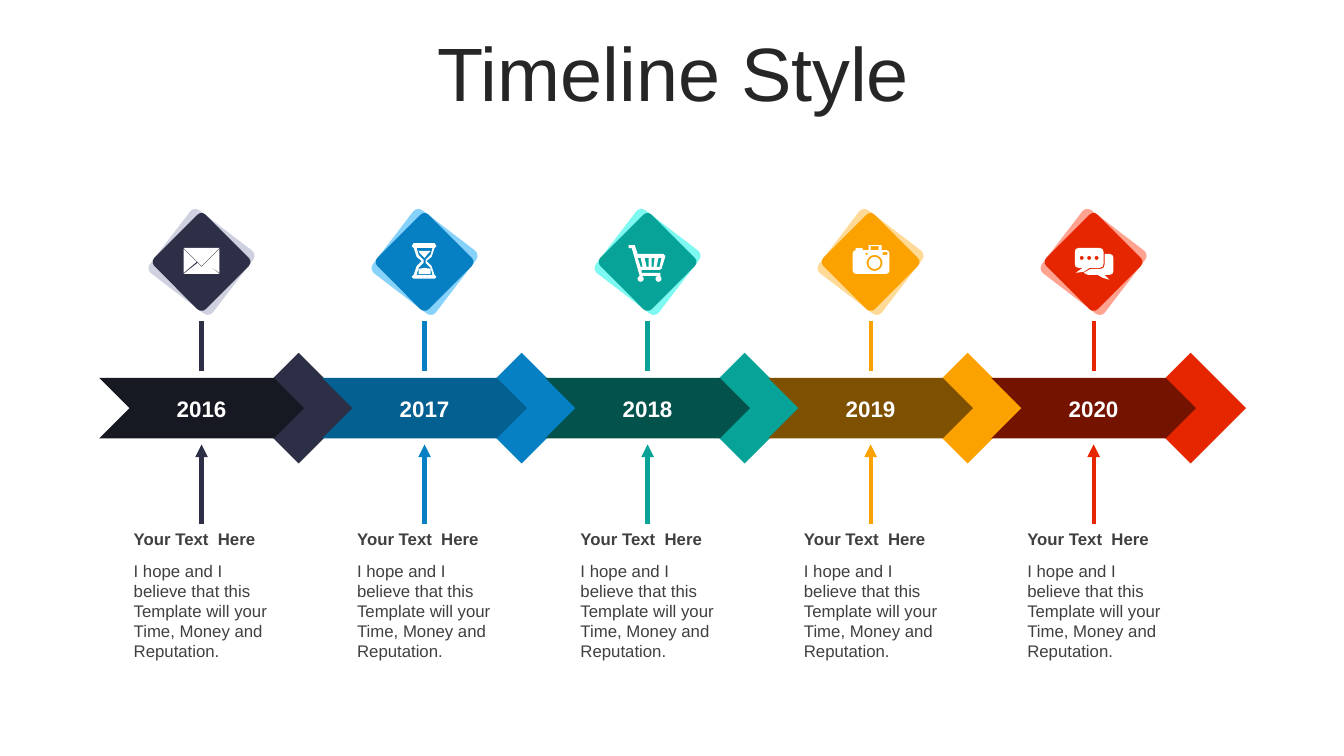
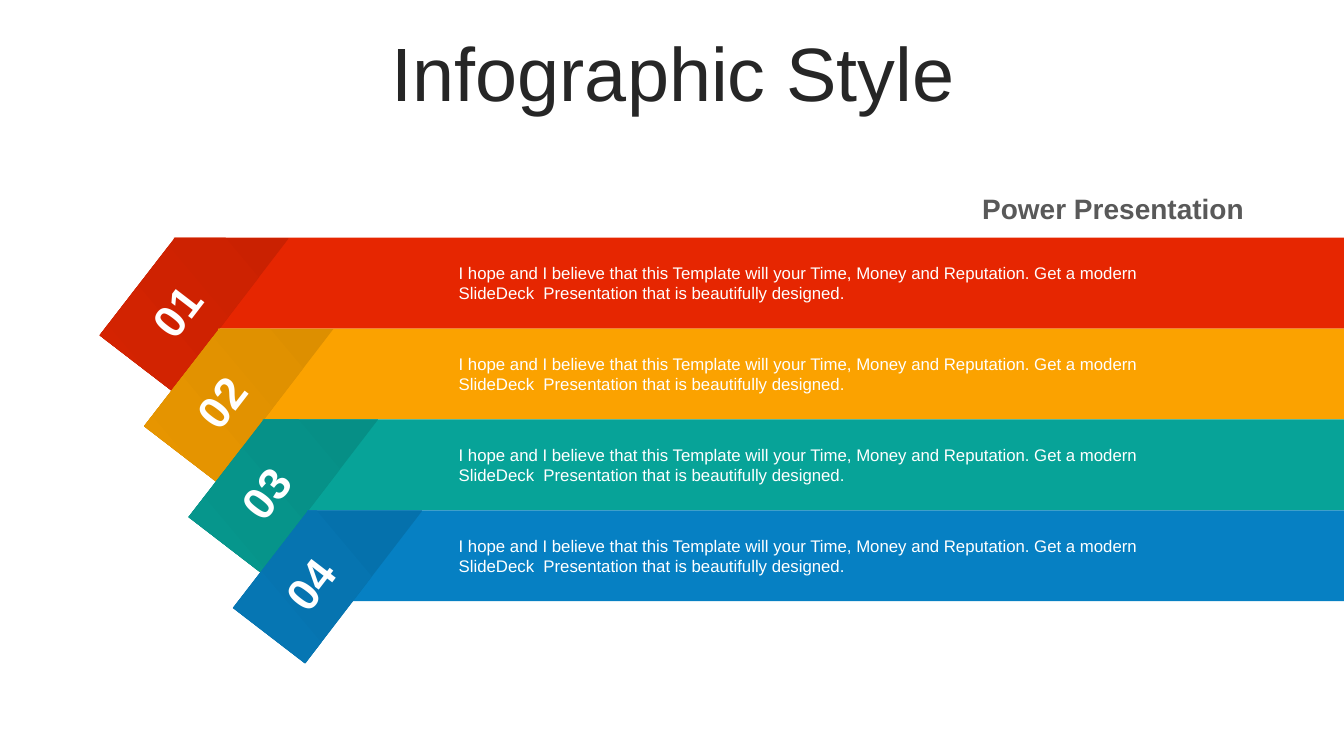
from dataclasses import dataclass
from math import cos, pi, sin

from lxml import etree
from pptx import Presentation
from pptx.dml.color import RGBColor
from pptx.enum.shapes import MSO_CONNECTOR, MSO_SHAPE
from pptx.enum.text import MSO_ANCHOR, PP_ALIGN
from pptx.oxml.ns import qn
from pptx.util import Cm, Pt

CHEVRON, DIAMOND = MSO_SHAPE.CHEVRON, MSO_SHAPE.DIAMOND
RECTANGLE, ROUNDED = MSO_SHAPE.RECTANGLE, MSO_SHAPE.ROUNDED_RECTANGLE
STRAIGHT = MSO_CONNECTOR.STRAIGHT
LEFT, CENTER, RIGHT = PP_ALIGN.LEFT, PP_ALIGN.CENTER, PP_ALIGN.RIGHT
TOP, MIDDLE = MSO_ANCHOR.TOP, MSO_ANCHOR.MIDDLE


@dataclass(frozen=True)
class Theme:
    font: str = "Arial"
    title: str = "262626"
    subtitle: str = "595959"
    text: str = "404040"
    white: str = "FFFFFF"
    navy: str = "2C2F45"
    blue: str = "0680C3"
    teal: str = "07A398"
    amber: str = "FBA200"
    red: str = "E62601"
    title_size: int = 54
    number_size: int = 32
    subtitle_size: int = 20
    year_size: int = 16
    body_size: int = 12


THEME = Theme()
SLIDE_W, SLIDE_H = Cm(33.87), Cm(19.05)


# Icon outlines, in icon units around the tile centre
def circle(x, y, radius, steps=32):
    angles = [2 * pi * step / steps for step in range(steps)]
    return [(x + radius * cos(a), y + radius * sin(a)) for a in angles]


def box(left, top, right, bottom):
    return [(left, top), (right, top), (right, bottom), (left, bottom)]


ICON_UNIT = Cm(0.025)
ENVELOPE = [
    [(4, 1), (18, 12), (-18, 12), (-4, 1), (0, 5)],
    [(18, -13), (18, 11), (4, 1)],
    [(-18, -13), (-5, 0), (-18, 11)],
    [(-18, -14), (18, -14), (0, 4)],
]
HOURGLASS = [
    [(0, 6), (6, 7), (6, 12), (-6, 12), (-6, 7)],
    [(-6, -11), (6, -11), (4, -9), (0, -4), (-5, -9)],
    [(-8, -14), (-6, -7), (-1, -2), (-1, 1), (-6, 6), (-8, 13),
     (8, 13), (6, 6), (1, 1), (1, -2), (6, -7), (8, -14)],
    [(-11, -19), (10, -19), (12, -16), (10, -14), (7, -5), (2, -1), (7, 4),
     (10, 13), (12, 15), (10, 17), (-11, 17), (-13, 15), (-11, 13), (-8, 4),
     (-3, -1), (-8, -5), (-11, -14), (-13, -16)],
]
CART = [
    [(11, -4), (9, 5), (12, 5), (14, -4)],
    [(4, -4), (4, 5), (6, 5), (7, -4)],
    [(-3, -4), (-1, 5), (1, 5), (1, -4)],
    [(-10, -4), (-7, 5), (-5, 5), (-7, -4)],
    [(-13, -17), (-10, -8), (16, -8), (18, -6), (14, 7), (12, 8), (-6, 8),
     (-6, 11), (13, 11), (13, 14), (-8, 14), (-16, -14), (-19, -14), (-19, -17)],
    circle(-7, 17, 3),
    circle(11, 17, 3),
]
CAMERA = [
    circle(4, 1, 6),
    circle(4, 1, 8),
    box(-5, -9, -3, -7),
    box(12, -10, 17, -7),
    box(0, -16, 8, -12),
    [(-15, -12), (-15, -14), (-8, -14), (-8, -12), (-2, -12), (-2, -17),
     (11, -17), (11, -12), (16, -12), (18, -11), (19, -9), (19, 9), (18, 11),
     (16, 12), (-15, 12), (-17, 11), (-18, 9), (-18, -9), (-17, -11)],
]
CHAT = [
    *[circle(x, -4, 2) for x in (-12, -4.5, 3)],
    [(-15, -14), (6, -14), (9, -13), (10, -10), (10, 2), (9, 5), (6, 6),
     (-4, 6), (-10, 10), (-18, 11), (-11, 6), (-15, 6), (-18, 5), (-19, 2),
     (-19, -10), (-18, -13)],
    [(11, -8), (16, -8), (19, -7), (20, -4), (20, 9), (19, 12), (16, 13),
     (11, 13), (16, 18), (9, 16), (4, 13), (-6, 13), (-10, 11), (-3, 7),
     (7, 7), (10, 6), (11, 3)],
]

# Year, main colour, chevron colour, halo colour, icon
STAGES = [
    ("2016", THEME.navy, "161822", "CFD1E0", ENVELOPE),
    ("2017", THEME.blue, "056092", "87D2FB", HOURGLASS),
    ("2018", THEME.teal, "04524C", "7DF9F1", CART),
    ("2019", THEME.amber, "7E5100", "FFDA97", CAMERA),
    ("2020", THEME.red, "731300", "FFA290", CHAT),
]
CAPTION_HEADING = "Your Text  Here"
CAPTION = "I hope and I believe that this Template will your Time, Money and Reputation."

# Number, band colour, gradient of the folded card
BANDS = [
    ("01", THEME.red, ("CA2101", "D42301")),
    ("02", THEME.amber, ("DD8F00", "E79500")),
    ("03", THEME.teal, ("068F86", "06968C")),
    ("04", THEME.blue, ("0571AC", "0676B3")),
]
BAND_TEXT = CAPTION + " Get a modern SlideDeck  Presentation that is beautifully designed."


# Shared helpers
def rgb(value):
    return RGBColor.from_string(value)


def write(paragraph, text, size, color, bold=False, align=LEFT):
    paragraph.text = text
    paragraph.alignment = align
    font = paragraph.font
    font.name, font.size, font.bold = THEME.font, Pt(size), bold
    font.color.rgb = rgb(color)


def plain(shape, color):
    shape.shadow.inherit = False
    shape.line.fill.background()
    shape.fill.solid()
    shape.fill.fore_color.rgb = rgb(color)
    return shape


def add_block(slide, kind, left, top, width, height, color, rotation=0):
    block = plain(slide.shapes.add_shape(kind, left, top, width, height), color)
    block.rotation = rotation
    return block


def add_text(slide, left, top, width, height, anchor=TOP):
    frame = slide.shapes.add_textbox(left, top, width, height).text_frame
    frame.word_wrap = True
    frame.vertical_anchor = anchor
    return frame


def add_stem(slide, x, top, bottom, color, arrow=False):
    stem = slide.shapes.add_connector(STRAIGHT, x, top, x, bottom)
    stem.line.color.rgb = rgb(color)
    stem.line.width = Pt(3)
    if arrow:
        line = stem.line._get_or_add_ln()
        etree.SubElement(line, qn("a:headEnd"), type="triangle")
    etree.SubElement(stem._element.spPr, qn("a:effectLst"))


def add_outline(slide, contours, left, top, unit, color):
    """Draw closed contours as one shape, with (0, 0) at left, top."""
    fine = 100
    scaled = [[(x * fine, y * fine) for x, y in points] for points in contours]
    builder = slide.shapes.build_freeform(*scaled[0][0], scale=unit / fine)
    for points in scaled:
        builder.move_to(*points[0])
        builder.add_line_segments(points[1:], close=True)
    return plain(builder.convert_to_shape(left, top), color)


def add_titled_slide(prs, text):
    slide = prs.slides.add_slide(prs.slide_layouts[5])
    title = slide.shapes.title
    title.left, title.top, title.width, title.height = Cm(0.89), Cm(0.94), Cm(32.16), Cm(2)
    title.text_frame.vertical_anchor = MIDDLE
    heading = title.text_frame.paragraphs[0]
    write(heading, text, THEME.title_size, THEME.title, align=CENTER)
    heading.line_spacing = 0.9
    return slide


# Timeline slide
def add_tile(slide, x, y, color, halo, icon):
    for side, angle, fill in ((Cm(2), 307.4, halo), (Cm(1.83), 315, color)):
        tile = add_block(slide, ROUNDED, x - side // 2, y - side // 2, side, side, fill, angle)
        tile.adjustments[0] = 0.08
    add_outline(slide, icon, x, y, ICON_UNIT, THEME.white)


def add_stage(slide, left, top, year, color, dark, halo, icon):
    middle = left + Cm(2.58)
    add_tile(slide, middle, top + Cm(1), color, halo, icon)
    add_stem(slide, middle, top + Cm(2.5), top + Cm(3.75), color)
    # Year arrow
    add_block(slide, DIAMOND, left + Cm(3.63), top + Cm(3.29), Cm(2.79), Cm(2.79), color)
    chevron = add_block(slide, CHEVRON, left, top + Cm(3.92), Cm(5.16), Cm(1.53), dark)
    chevron.text_frame.vertical_anchor = MIDDLE
    write(chevron.text_frame.paragraphs[0], year, THEME.year_size, THEME.white, True, CENTER)
    add_stem(slide, middle, top + Cm(5.6), top + Cm(7.6), color, arrow=True)


def add_caption(slide, left, top):
    frame = add_text(slide, left, top, Cm(3.91), Cm(3.58))
    write(frame.paragraphs[0], CAPTION_HEADING, THEME.body_size, THEME.text, bold=True)
    body = frame.add_paragraph()
    write(body, CAPTION, THEME.body_size, THEME.text)
    body.space_before = Pt(8)


def build_timeline(prs):
    slide = add_titled_slide(prs, "Timeline Style")
    for index, stage in enumerate(STAGES):
        add_stage(slide, Cm(2.5 + 5.62 * index), Cm(5.6), *stage)
        add_caption(slide, Cm(3.12 + 5.63 * index), Cm(13.21))


# Infographic slide
def add_band(slide, left, top, height, number, color, gradient):
    # Full-bleed band, its text starting at a common left edge
    band_left = left + Cm(1.87)
    band = add_block(slide, RECTANGLE, band_left, top, SLIDE_W - band_left, height, color)
    frame = band.text_frame
    frame.word_wrap = True
    frame.vertical_anchor = MIDDLE
    frame.margin_left, frame.margin_right = Cm(11.56) - band_left, Cm(4)
    write(frame.paragraphs[0], BAND_TEXT, THEME.body_size, THEME.white)
    # Folded card
    corners = [(0, 2.46), (1.82, 3.86), (4.78, 0), (1.9, 0)]
    card = add_outline(slide, [corners], left, top, Cm(1), color)
    card.fill.gradient()
    card.fill.gradient_angle = 220
    for position, (stop, shade) in enumerate(zip(card.fill.gradient_stops, gradient)):
        stop.position = position
        stop.color.rgb = rgb(shade)
    # Slanted number
    label = slide.shapes.add_textbox(left + Cm(0.59), top + Cm(1.04), Cm(2.69), Cm(1.63))
    label.rotation = 307.5
    label.text_frame.word_wrap = True
    write(label.text_frame.paragraphs[0], number, THEME.number_size, THEME.white, True, CENTER)


def build_infographic(prs):
    slide = add_titled_slide(prs, "Infographic Style")
    subtitle = add_text(slide, Cm(24.4), Cm(4.7), Cm(6.95), Cm(1.12))
    subtitle.margin_right = 0
    write(subtitle.paragraphs[0], "Power Presentation", THEME.subtitle_size,
          THEME.subtitle, True, RIGHT)
    height = Cm(2.29)
    for index, band in enumerate(BANDS):
        add_band(slide, Cm(2.51 + 1.12 * index), Cm(5.99) + height * index, height, *band)


def main():
    prs = Presentation()
    prs.slide_width, prs.slide_height = SLIDE_W, SLIDE_H
    build_timeline(prs)
    build_infographic(prs)
    prs.save("out.pptx")


if __name__ == "__main__":
    main()
